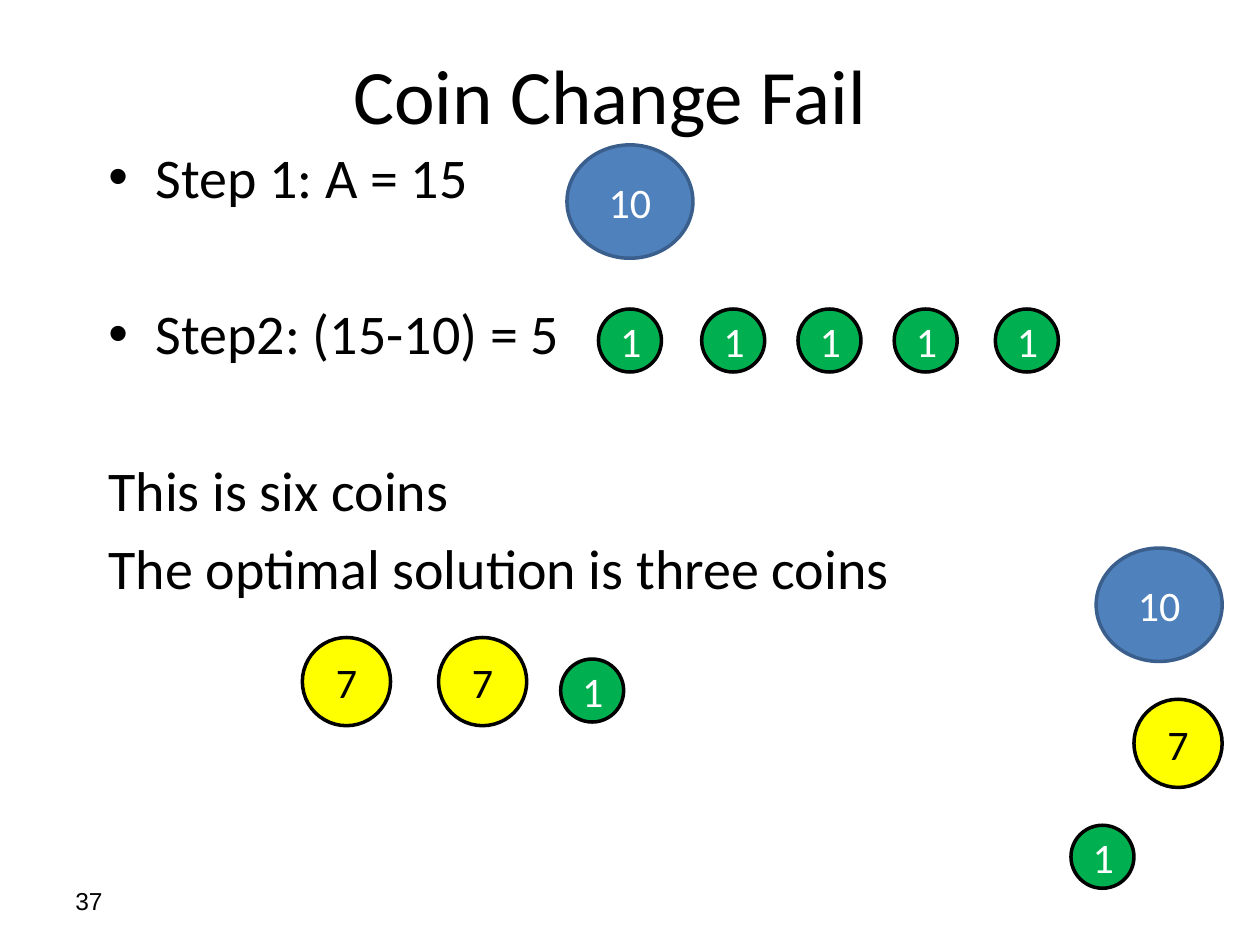
import pptx
import pptx.util
import pptx.dml.color
import pptx.enum.shapes
import pptx.enum.text
import pptx.oxml.ns
import lxml.etree

Pt = pptx.util.Pt
RGB = pptx.dml.color.RGBColor
ALIGN = pptx.enum.text.PP_ALIGN
ANCHOR = pptx.enum.text.MSO_ANCHOR

BLACK = RGB(0, 0, 0)
WHITE = RGB(255, 255, 255)
BLUE = RGB(0x4F, 0x81, 0xBD)
DARK_BLUE = RGB(0x3A, 0x5F, 0x8C)
YELLOW = RGB(255, 255, 0)
GREEN = RGB(0, 0xB0, 0x50)

TITLE = "Coin Change Fail"
NUMBER = "37"
BODY = [
    ("Step 1: A = 15", True, 6),
    ("Step2: (15-10) = 5", True, 51),
    ("This is six coins", False, 51),
    ("The optimal solution is three coins", False, 6),
]
COINS = {
    10: dict(size=(72, 64.8), fill=BLUE, line=DARK_BLUE, color=WHITE),
    7: dict(size=(50.4, 50.4), fill=YELLOW, line=BLACK, color=BLACK),
    1: dict(size=(36, 36), fill=GREEN, line=BLACK, color=WHITE),
}
ROWS = [
    [(10, 626.4, 313.2), (7, 648, 399.6), (1, 612, 471.6)],
    [(10, 324, 82.8)],
    [(1, x, 176.6) for x in (342, 401, 456, 511, 568.8)],
    [(7, 172.8, 364.3), (7, 250.6, 364.3), (1, 320.4, 376.6)],
]

prs = pptx.Presentation()
prs.slide_width, prs.slide_height = Pt(720), Pt(540)
s = prs.slides.add_slide(prs.slide_layouts[1])


def place(sp, left, top, width, height):
    box = dict(left=left, top=top, width=width, height=height)
    for name, value in box.items():
        setattr(sp, name, Pt(value))


def format_frame(tf, anchor):
    values = dict(word_wrap=True, auto_size=pptx.enum.text.MSO_AUTO_SIZE.NONE,
                  vertical_anchor=anchor, margin_left=Pt(7.2), margin_right=Pt(7.2),
                  margin_top=Pt(3.6), margin_bottom=Pt(3.6))
    for name, value in values.items():
        setattr(tf, name, value)


def write(p, text, size, color=BLACK, align=ALIGN.LEFT, font="Calibri"):
    p.alignment = align
    r = p.add_run()
    r.text = text
    for name, value in dict(size=Pt(size), name=font).items():
        setattr(r.font, name, value)
    r.font.color.rgb = color


def set_bullet(p, shown):
    pPr = p._p.get_or_add_pPr()
    indent = Pt(27) if shown else 0
    pPr.set("marL", str(indent))
    pPr.set("indent", str(-indent))
    qn = pptx.oxml.ns.qn
    if shown:
        lxml.etree.SubElement(pPr, qn("a:buFont"), typeface="Arial")
        lxml.etree.SubElement(pPr, qn("a:buChar"), char="\u2022")
    else:
        lxml.etree.SubElement(pPr, qn("a:buNone"))


def add_coin(value, left, top):
    coin = COINS[value]
    sp = s.shapes.add_shape(pptx.enum.shapes.MSO_SHAPE.OVAL,
                            Pt(left), Pt(top), *map(Pt, coin["size"]))
    sp.shadow.inherit = False
    sp.fill.solid()
    sp.fill.fore_color.rgb = coin["fill"]
    sp.line.color.rgb = coin["line"]
    sp.line.width = Pt(2)
    format_frame(sp.text_frame, ANCHOR.MIDDLE)
    write(sp.text_frame.paragraphs[0], str(value), 24, coin["color"], ALIGN.CENTER)


number = s.shapes.add_textbox(Pt(36), Pt(500.4), Pt(167.8), Pt(28.8))
format_frame(number.text_frame, ANCHOR.MIDDLE)
write(number.text_frame.paragraphs[0], NUMBER, 14, font="Arial")

title = s.shapes.title
place(title, 41.8, 23.8, 613.4, 59.8)
format_frame(title.text_frame, ANCHOR.MIDDLE)
write(title.text_frame.paragraphs[0], TITLE, 44, align=ALIGN.CENTER)

body = s.placeholders[1]
place(body, 54.7, 77.8, 630, 408.2)
tf = body.text_frame
format_frame(tf, ANCHOR.TOP)
for i, (text, bulleted, gap) in enumerate(BODY):
    p = tf.add_paragraph() if i else tf.paragraphs[0]
    p.space_before = Pt(gap)
    set_bullet(p, bulleted)
    write(p, text, 32)

for row in ROWS:
    for coin in row:
        add_coin(*coin)

prs.save("out.pptx")
